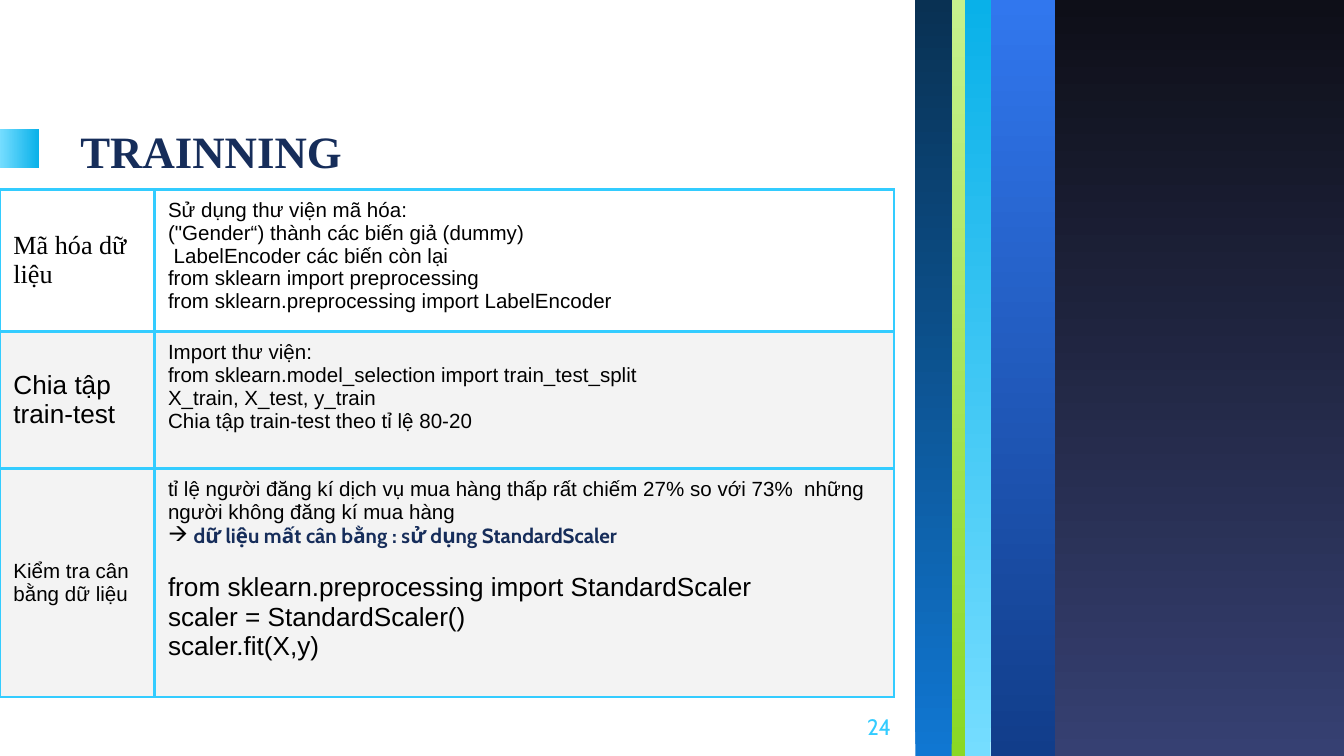
from dataclasses import dataclass

from lxml import etree
from pptx import Presentation
from pptx.dml.color import RGBColor
from pptx.enum import shapes, text
from pptx.oxml import ns
from pptx.util import Inches, Pt

WIDE = 10
HIGH = WIDE * 9 / 16


@dataclass(frozen=True)
class Theme:
    navy: str = "162D5A"
    cyan: str = "33CCFF"
    black: str = "000000"
    gray: str = "F3F3F3"
    sky: tuple = ("75DDFF", "09B1E9")
    blue: tuple = ("3177EE", "113D8A")
    lime: tuple = ("C6F18D", "8AD824")
    deep: tuple = ("1077D2", "093153")
    night: tuple = ("364072", "0E0F18")
    sans: str = "Arial"
    serif: str = "Times New Roman"
    brand: str = "Cabin"
    signs: str = "Wingdings"
    head: int = 24
    large: int = 14
    page: int = 12
    small: int = 11


T = Theme()


def add_run(para, words, size, face=T.sans, color=T.black, bold=False):
    run = para.add_run()
    run.text = words
    font = run.font
    font.size, font.name, font.bold = Pt(size), face, bold
    font.color.rgb = RGBColor.from_string(color)


def add_band(slide, box, colors, turn=0):
    """Borderless rectangle, shaded top to bottom before it is turned."""
    band = slide.shapes.add_shape(shapes.MSO_SHAPE.RECTANGLE, *map(Inches, box))
    band.shadow.inherit = False
    band.line.fill.background()
    band.rotation = turn
    band.fill.gradient()
    band.fill.gradient_angle = 270
    for stop, color, place in zip(band.fill.gradient_stops, colors, (0, 1)):
        stop.color.rgb = RGBColor.from_string(color)
        stop.position = place


def add_stripes(slide, box):
    left, top, width, height = box
    bands = [(0.56, 0.49, T.blue, 0), (0.36, 0.2, T.sky, 180),
             (0.27, 0.1, T.lime, 0), (0, 0.27, T.deep, 180),
             (1.04, width - 1.04, T.night, 180)]
    for shift, wide, colors, turn in bands:
        add_band(slide, (left + shift, top, wide, height), colors, turn)


def add_label(slide, box, words, anchor, align, **style):
    frame = slide.shapes.add_textbox(*map(Inches, box)).text_frame
    frame.word_wrap = True
    frame.vertical_anchor = anchor
    frame.margin_left = frame.margin_right = Inches(0.1)
    frame.margin_top = frame.margin_bottom = Inches(0.1)
    para = frame.paragraphs[0]
    para.alignment = align
    add_run(para, words, **style)


def add_edges(cell):
    props = cell._tc.get_or_add_tcPr()
    for side in ("lnL", "lnR", "lnT", "lnB"):
        line = etree.SubElement(props, ns.qn("a:" + side), w=str(Pt(1.5)))
        fill = etree.SubElement(line, ns.qn("a:solidFill"))
        etree.SubElement(fill, ns.qn("a:srgbClr"), val=T.cyan)


def add_arrow(para):
    """Give the paragraph a hanging arrow bullet."""
    props = para._p.get_or_add_pPr()
    props.set("marL", str(Inches(0.19)))
    props.set("indent", str(Inches(-0.19)))
    color = etree.SubElement(props, ns.qn("a:buClr"))
    etree.SubElement(color, ns.qn("a:srgbClr"), val=T.black)
    etree.SubElement(props, ns.qn("a:buFont"), typeface=T.signs, charset="2")
    # In the symbol font this letter is a right arrow
    etree.SubElement(props, ns.qn("a:buChar"), char="à")


def fill_cell(cell, lines, anchor, shade):
    """Write one paragraph for each (words, style) pair."""
    add_edges(cell)
    if shade:
        cell.fill.solid()
        cell.fill.fore_color.rgb = RGBColor.from_string(shade)
    else:
        cell.fill.background()
    cell.vertical_anchor = anchor
    cell.margin_left = cell.margin_right = Inches(0.1)
    cell.margin_top = cell.margin_bottom = Inches(0.07)
    frame = cell.text_frame
    for i, (words, style) in enumerate(lines):
        para = frame.add_paragraph() if i else frame.paragraphs[0]
        add_run(para, words, **style)


def add_steps(slide, box):
    small, large = {"size": T.small}, {"size": T.large}
    strong = {"size": T.small, "face": T.brand, "color": T.navy, "bold": True}
    rows = [
        (0.78, None, ("Mã hóa dữ liệu", {"size": T.large, "face": T.serif}), [
            ("Sử dụng thư viện mã hóa:", small),
            ("(\"Gender“) thành các biến giả (dummy)", small),
            (" LabelEncoder các biến còn lại", small),
            ("from sklearn import preprocessing", small),
            ("from sklearn.preprocessing import LabelEncoder", small)]),
        (1.02, T.gray, ("Chia tập train-test", large), [
            ("Import thư viện:", small),
            ("from sklearn.model_selection import train_test_split", small),
            ("X_train, X_test, y_train", small),
            ("Chia tập train-test theo tỉ lệ 80-20", small)]),
        (1.7, T.gray, ("Kiểm tra cân bằng dữ liệu", small), [
            ("tỉ lệ người đăng kí dịch vụ mua hàng thấp rất chiếm 27% so với "
             "73%  những người không đăng kí mua hàng", small),
            ("dữ liệu mất cân bằng : sử dụng StandardScaler", strong),
            ("from sklearn.preprocessing import StandardScaler", large),
            ("scaler = StandardScaler()", large),
            ("scaler.fit(X,y)", large)]),
    ]
    table = slide.shapes.add_table(len(rows), 2, *map(Inches, box)).table
    table.first_row = table.horz_banding = False
    table.columns[0].width = Inches(1.15)
    table.columns[1].width = Inches(box[2] - 1.15)
    for i, (height, shade, name, lines) in enumerate(rows):
        table.rows[i].height = Inches(height)
        fill_cell(table.cell(i, 0), [name], text.MSO_ANCHOR.MIDDLE, shade)
        fill_cell(table.cell(i, 1), lines, text.MSO_ANCHOR.TOP, shade)
    paras = table.cell(2, 1).text_frame.paragraphs
    add_arrow(paras[1])
    paras[2].space_before = Pt(13)


def main():
    deck = Presentation()
    deck.slide_width, deck.slide_height = Inches(WIDE), Inches(HIGH)
    slide = deck.slides.add_slide(deck.slide_layouts[6])
    add_band(slide, (0, 0.96, 0.29, 0.29), T.sky, 270)
    add_stripes(slide, (6.81, 0, WIDE - 6.81, HIGH))
    add_label(slide, (0.5, 0.62, 5.8, 0.8), "TRAINNING",
              text.MSO_ANCHOR.BOTTOM, text.PP_ALIGN.LEFT,
              size=T.head, face=T.serif, color=T.navy, bold=True)
    add_steps(slide, (0, 1.41, 6.65, 3.5))
    add_label(slide, (6.13, 5.19, 0.6, 0.43), "24",
              text.MSO_ANCHOR.MIDDLE, text.PP_ALIGN.RIGHT,
              size=T.page, face=T.brand, color=T.cyan)
    deck.save("out.pptx")


if __name__ == "__main__":
    main()
